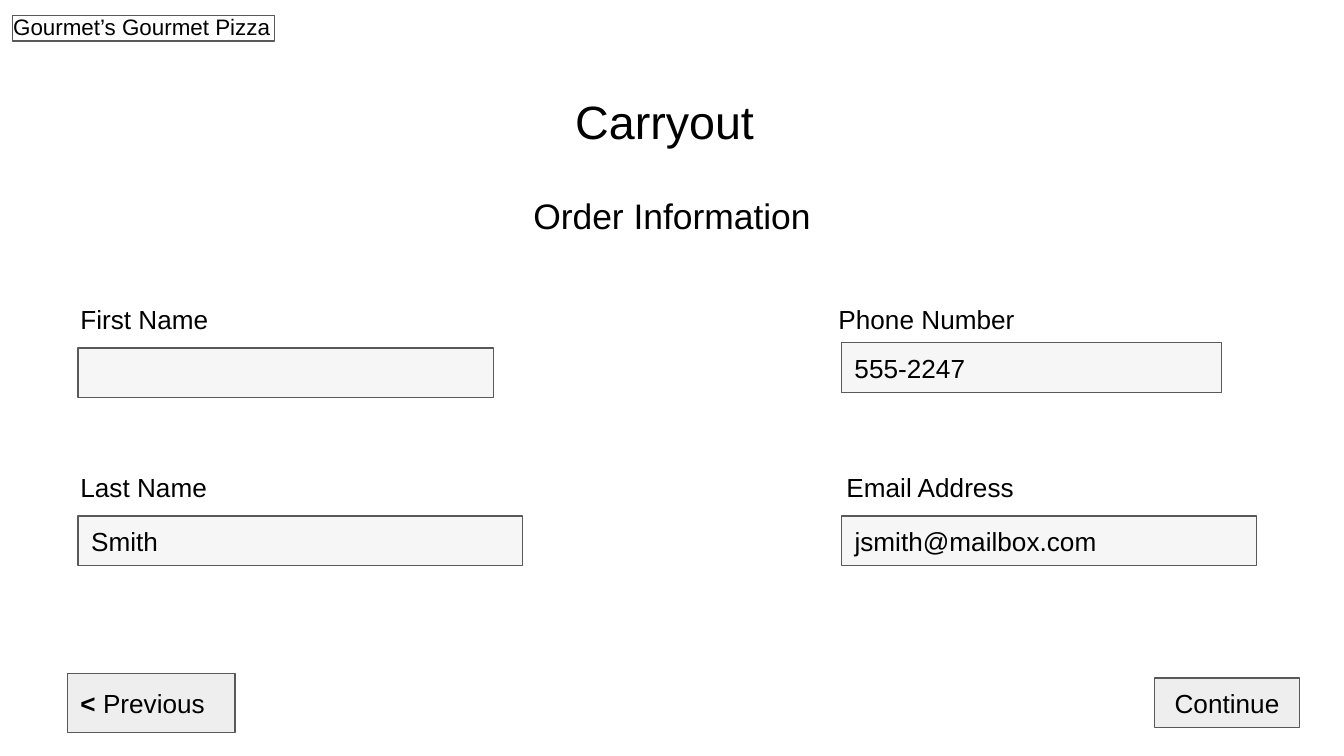
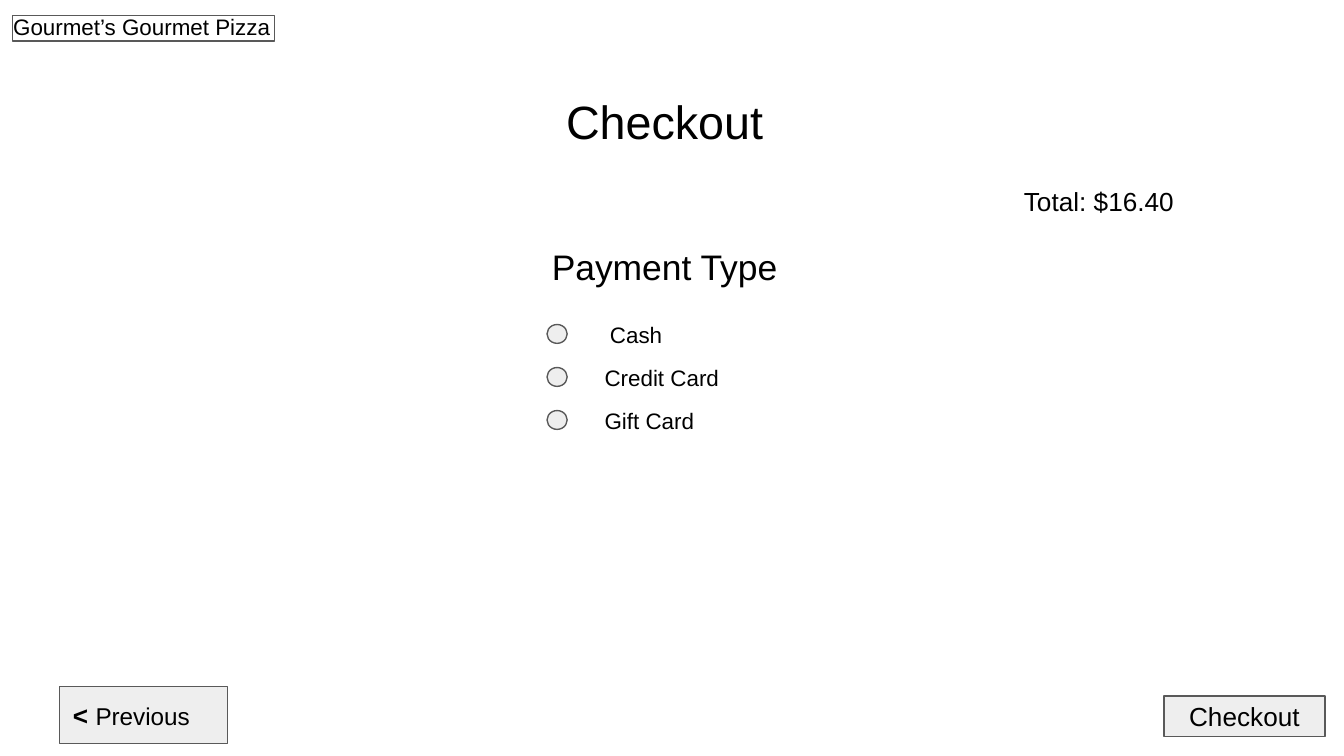
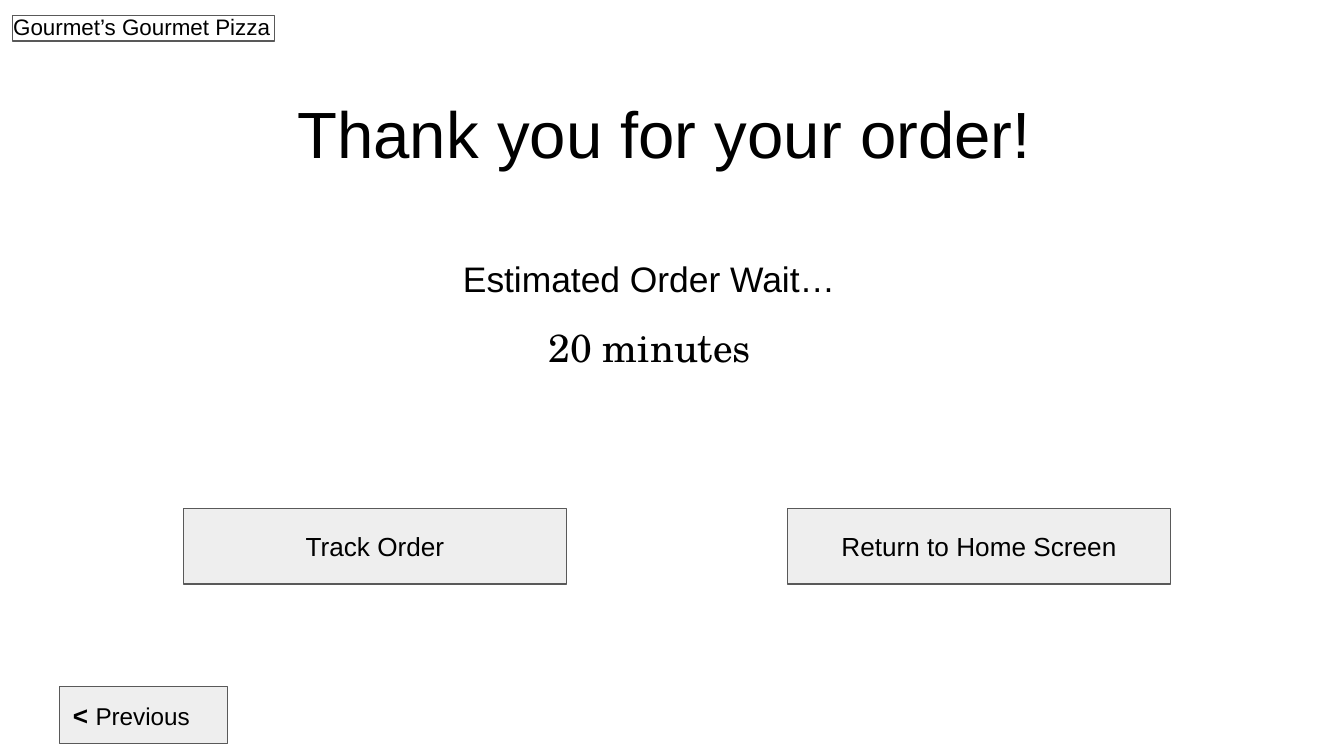
import pptx
import pptx.dml.color
import pptx.enum.shapes
import pptx.enum.text
import pptx.util

COLUMNS, ROWS = 100, 56.25
SLIDE_WIDTH = pptx.util.Inches(10)
SLIDE_HEIGHT = SLIDE_WIDTH * 9 // 16
COLORS = {"text": "000000", "line": "595959", "field": "F6F6F6", "button": "EEEEEE"}
SANS, SERIF = "Arial", "TeX Gyre Schola"
SIZES = {"small": 12, "previous": 13, "body": 14, "subtitle": 19, "wait": 21,
         "title": 25, "thanks": 35}
INSET = pptx.util.Inches(0.1)
LEFT = pptx.enum.text.PP_ALIGN.LEFT
CENTER = pptx.enum.text.PP_ALIGN.CENTER
RECTANGLE = pptx.enum.shapes.MSO_SHAPE.RECTANGLE
OVAL = pptx.enum.shapes.MSO_SHAPE.OVAL


def color(name):
    return pptx.dml.color.RGBColor.from_string(COLORS[name])


def place(box):
    """Turn a (left, top, width, height) box in grid units into slide lengths."""
    left, top, width, height = box
    return (round(left * SLIDE_WIDTH / COLUMNS), round(top * SLIDE_HEIGHT / ROWS),
            round(width * SLIDE_WIDTH / COLUMNS), round(height * SLIDE_HEIGHT / ROWS))


def write(shape, runs, alignment, font):
    """Fill a shape with one paragraph of (text, size, bold) runs."""
    frame = shape.text_frame
    frame.word_wrap = True
    frame.margin_left = frame.margin_right = INSET
    frame.margin_top = frame.margin_bottom = INSET
    paragraph = frame.paragraphs[0]
    paragraph.alignment = alignment
    for text, size, bold in runs:
        run = paragraph.add_run()
        run.text = text
        run.font.name = font
        run.font.size = pptx.util.Pt(size)
        run.font.bold = bold
        run.font.color.rgb = color("text")


def add_text(slide, box, text, size="body", alignment=LEFT, font=SANS):
    shape = slide.shapes.add_textbox(*place(box))
    write(shape, [(text, SIZES[size], False)], alignment, font)
    shape.text_frame.auto_size = pptx.enum.text.MSO_AUTO_SIZE.SHAPE_TO_FIT_TEXT
    return shape


def add_panel(shapes, box, fill=None, outlined=True, preset=RECTANGLE):
    shape = shapes.add_shape(preset, *place(box))
    shape.shadow.inherit = False
    if fill:
        shape.fill.solid()
        shape.fill.fore_color.rgb = color(fill)
    else:
        shape.fill.background()
    if outlined:
        shape.line.color.rgb = color("line")
        shape.line.width = pptx.util.Pt(0.75)
    else:
        shape.line.fill.background()
    return shape


def add_labelled_panel(slide, box, fill, runs, alignment):
    shape = add_panel(slide.shapes, box, fill)
    shape.text_frame.vertical_anchor = pptx.enum.text.MSO_ANCHOR.MIDDLE
    write(shape, runs, alignment, SANS)


def add_button(slide, box, text):
    add_labelled_panel(slide, box, "button", [(text, SIZES["body"], False)], CENTER)


def add_previous_button(slide, box, size="previous"):
    runs = [("< ", SIZES["body"], True), ("Previous", SIZES[size], False)]
    add_labelled_panel(slide, box, "button", runs, LEFT)


def add_form_field(slide, box, label, value, outdent=0.8, drop=4.3):
    """Put a label at the top of the box and an input field below it."""
    left, top, width, height = box
    add_text(slide, (left - outdent, top, 16, 4.4), label)
    field = (left, top + drop, width, height - drop)
    runs = [(value, SIZES["body"], False)] if value else []
    add_labelled_panel(slide, field, "field", runs, LEFT)


def add_radio_option(slide, box, label, indent):
    left, top, width, height = box
    button = slide.shapes.add_group_shape()
    add_panel(button.shapes, (left, top + 1.25, 1.5, 1.4), "button", preset=OVAL)
    add_panel(button.shapes, (left + 0.2, top + 1.4, 1.2, 1.1), "button", False, OVAL)
    add_text(slide, (left + indent, top, width - indent, height), label, "small")


def add_page(presentation, title, size="title", height=6.2):
    """Start a slide with the shop name's frame and a centred title."""
    slide = presentation.slides.add_slide(presentation.slide_layouts[6])
    add_panel(slide.shapes, (0.94, 1.15, 19.5, 1.9))
    add_text(slide, (20.95, 5.9, 57, height), title, size, CENTER)
    return slide


def share_shop_name(slide):
    """Write the shop name and move it to the layout, so every slide shows it."""
    name = add_text(slide, (0, 0, 29.6, 4), "Gourmet’s Gourmet Pizza", "small")
    slide.slide_layout.shapes.element.append(name.element)


def build_carryout(presentation):
    slide = add_page(presentation, "Carryout")
    share_shop_name(slide)
    add_text(slide, (24.25, 13.45, 51.5, 5.2), "Order Information", "subtitle", CENTER)
    name_left, contact_left = 5.8, 62.6
    upper, lower = 21.6, 34.1
    add_form_field(slide, (name_left, upper, 30.9, 8), "First Name", "")
    add_form_field(slide, (name_left, lower, 33.1, 8), "Last Name", "Smith")
    add_form_field(slide, (contact_left, upper, 28.3, 7.6), "Phone Number", "555-2247",
                   outdent=1.2, drop=3.9)
    add_form_field(slide, (contact_left, lower, 30.9, 8), "Email Address",
                   "jsmith@mailbox.com", outdent=0.6)
    add_previous_button(slide, (5, 50.1, 12.5, 4.4), "body")
    add_button(slide, (85.9, 50.45, 10.8, 3.7), "Continue")


def build_checkout(presentation):
    slide = add_page(presentation, "Checkout")
    add_text(slide, (75.2, 12.8, 20.1, 4.4), "Total: $16.40")
    add_text(slide, (23.7, 17.2, 51.5, 5.2), "Payment Type", "subtitle", CENTER)
    options = [("Cash", 3.7), ("Credit Card", 3.3), ("Gift Card", 3.3)]
    for index, (label, indent) in enumerate(options):
        add_radio_option(slide, (40.7, 22.9 + 3.2 * index, 18.2, 4), label, indent)
    add_previous_button(slide, (4.44, 51.1, 12.5, 4.25))
    add_button(slide, (86.6, 51.8, 12, 3), "Checkout")


def build_thanks(presentation):
    slide = add_page(presentation, "Thank you for your order!", "thanks", 7.9)
    add_text(slide, (29.6, 18.15, 37.4, 5.2), "Estimated Order Wait…", "subtitle", CENTER)
    add_text(slide, (37.15, 23.05, 22.4, 5.6), "20 minutes", "wait", CENTER, SERIF)
    for left, label in ((13.65, "Track Order"), (58.6, "Return to Home Screen")):
        add_button(slide, (left, 37.85, 28.5, 5.6), label)
    add_previous_button(slide, (4.44, 51.1, 12.5, 4.25))


def main():
    presentation = pptx.Presentation()
    presentation.slide_width = SLIDE_WIDTH
    presentation.slide_height = SLIDE_HEIGHT
    build_carryout(presentation)
    build_checkout(presentation)
    build_thanks(presentation)
    presentation.save("out.pptx")


if __name__ == "__main__":
    main()
